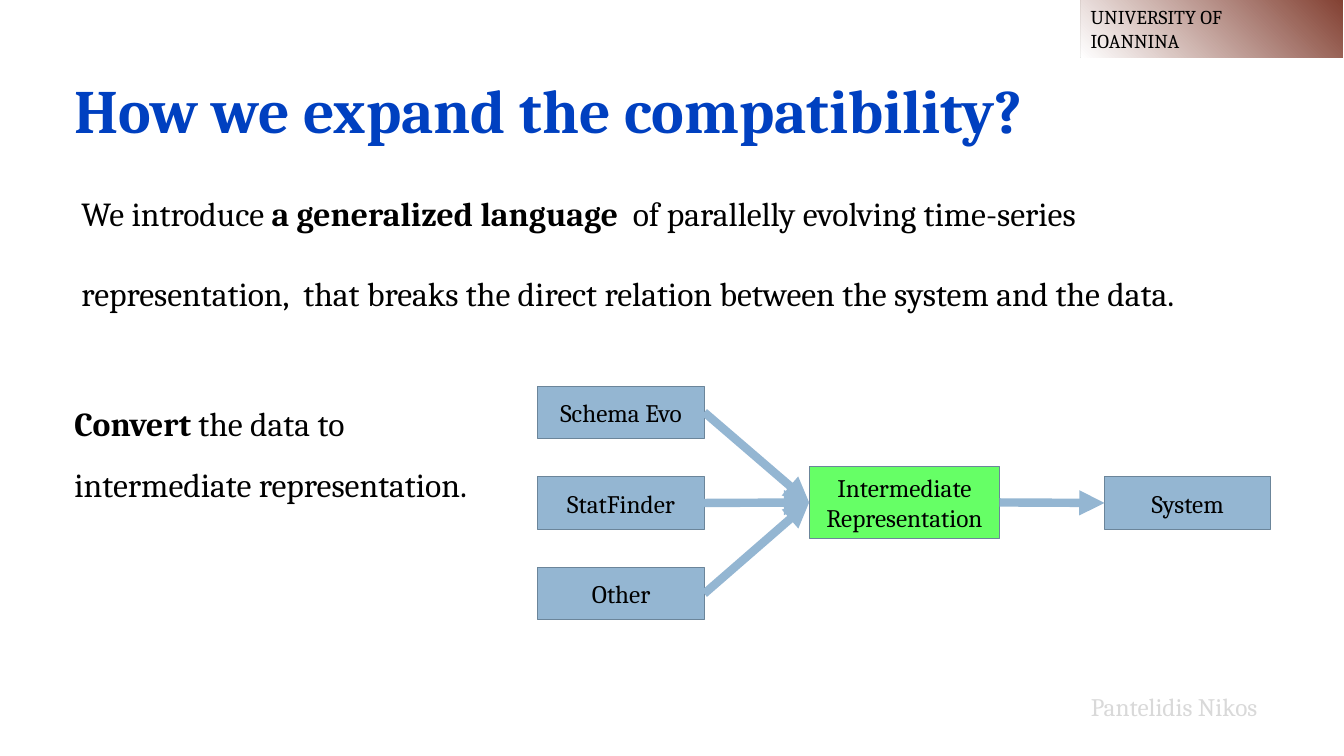
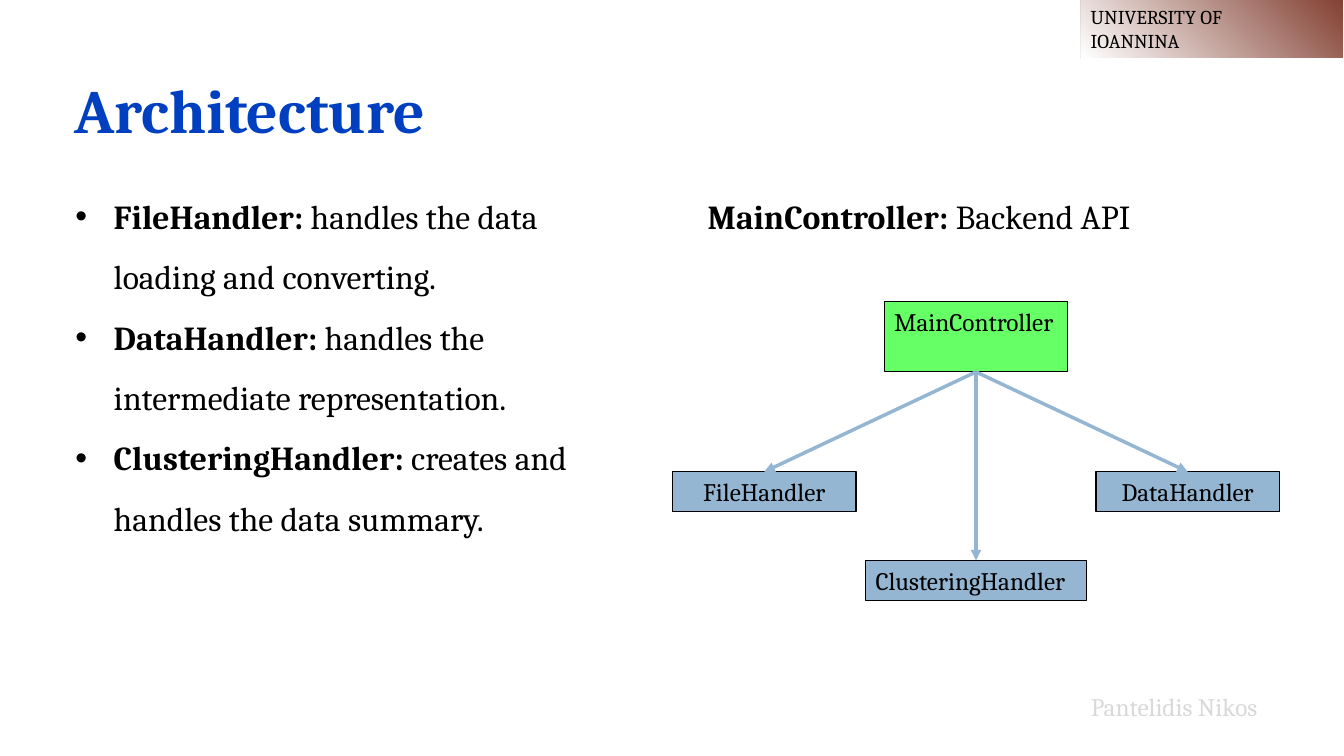
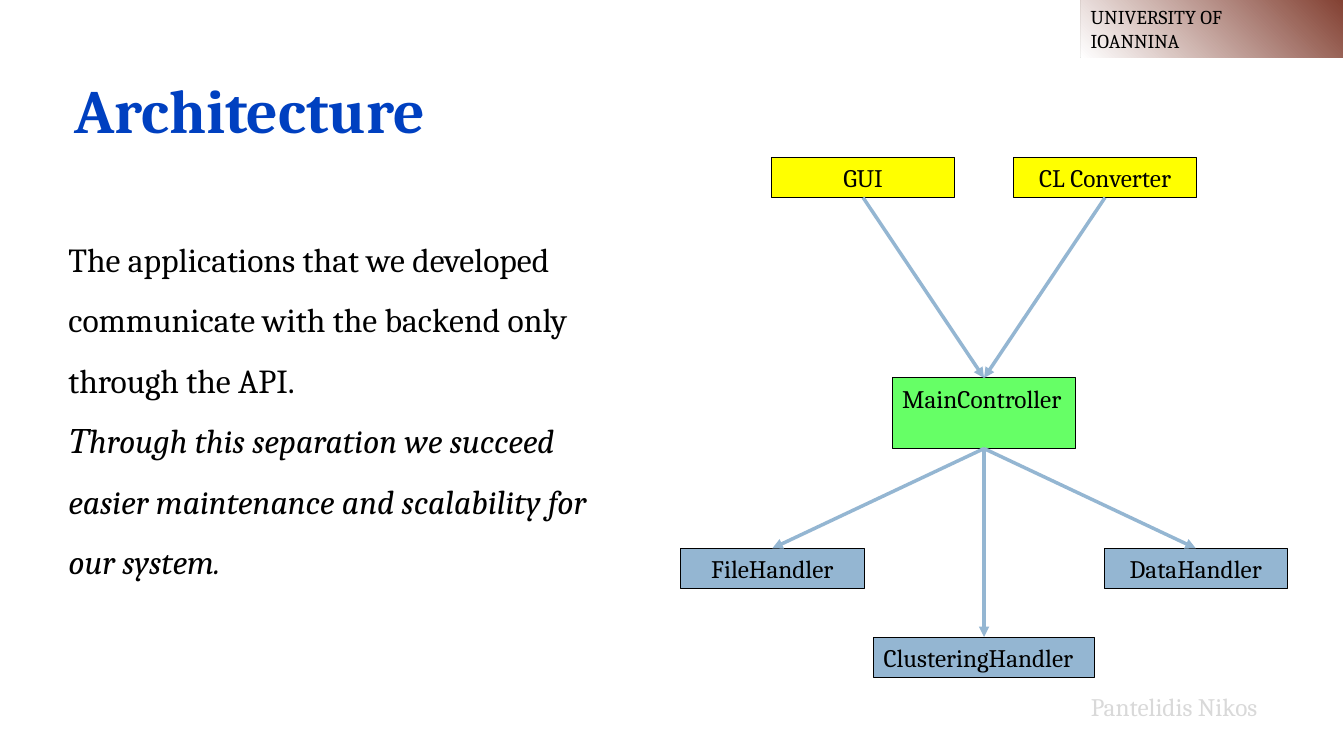
"""Build three slides on the architecture of a time-series system."""
import pptx
import pptx.dml.color
import pptx.enum.shapes
import pptx.enum.text
import pptx.oxml
import pptx.oxml.ns
import pptx.util
from pptx.util import Inches

FONT = "Cambria"
BLACK, BLUE, GREEN, YELLOW = "000000", "94B6D2", "66FF66", "FFFF00"
TITLE_COLOR, FOOTER_COLOR, SOFT_LINE = "0040C0", "D9D9D9", "6B859A"
BAND_START, BAND_END = "FFFFFF", "834133"
LEFT = pptx.enum.text.PP_ALIGN.LEFT
CENTER = pptx.enum.text.PP_ALIGN.CENTER
TOP = pptx.enum.text.MSO_ANCHOR.TOP
MIDDLE = pptx.enum.text.MSO_ANCHOR.MIDDLE
SIDE_TOP, SIDE_LEFT, SIDE_BOTTOM, SIDE_RIGHT = range(4)
NAMESPACE = pptx.oxml.ns.nsdecls("a")


def rgb(color):
    return pptx.dml.color.RGBColor.from_string(color)


def write(shape, paragraphs, size, color=BLACK, align=LEFT, anchor=TOP, spacing=None):
    """Fill a shape with paragraphs, each a list of (text, style) runs."""
    text_frame = shape.text_frame
    text_frame.word_wrap = True
    text_frame.vertical_anchor = anchor
    for index, runs in enumerate(paragraphs):
        paragraph = text_frame.add_paragraph() if index else text_frame.paragraphs[0]
        paragraph.alignment = align
        if spacing:
            paragraph.line_spacing = spacing
        for text, style in runs:
            run = paragraph.add_run()
            run.text = text
            run.font.name = FONT
            run.font.size = pptx.util.Pt(size)
            run.font.bold = style == "bold"
            run.font.italic = style == "italic"
            run.font.color.rgb = rgb(color)


def add_text(slide, left, top, width, height, paragraphs, size=24, **options):
    shape = slide.shapes.add_textbox(Inches(left), Inches(top), Inches(width), Inches(height))
    write(shape, paragraphs, size, **options)
    return shape


def add_bullets(shape):
    """Give every paragraph of a shape a hanging bullet."""
    for paragraph in shape.text_frame.paragraphs:
        properties = paragraph._p.get_or_add_pPr()
        properties.set("marL", str(Inches(0.38)))
        properties.set("indent", str(-Inches(0.38)))
        for element in (
            f'<a:buClr {NAMESPACE}><a:srgbClr val="{BLACK}"/></a:buClr>',
            f'<a:buFont {NAMESPACE} typeface="Arial"/>',
            f'<a:buChar {NAMESPACE} char="•"/>',
        ):
            properties.append(pptx.oxml.parse_xml(element))


def add_rectangle(slide, left, top, width, height):
    shape = slide.shapes.add_shape(
        pptx.enum.shapes.MSO_SHAPE.RECTANGLE,
        Inches(left), Inches(top), Inches(width), Inches(height))
    shape.shadow.inherit = False
    return shape


def add_box(slide, text, center, top, width, height, fill, line=BLACK, align=CENTER, anchor=TOP):
    """Add a labelled box placed by its horizontal center and its top."""
    box = add_rectangle(slide, center - width / 2, top, width, height)
    box.fill.solid()
    box.fill.fore_color.rgb = rgb(fill)
    box.line.color.rgb = rgb(line)
    box.line.width = pptx.util.Pt(0.75)
    write(box, [[(text, None)]], 18, align=align, anchor=anchor)
    return box


def add_arrow(slide, source, source_side, target, target_side, width):
    connector = slide.shapes.add_connector(pptx.enum.shapes.MSO_CONNECTOR.STRAIGHT, 0, 0, 0, 0)
    connector.begin_connect(source, source_side)
    connector.end_connect(target, target_side)
    connector.line.color.rgb = rgb(BLUE)
    connector.line.width = pptx.util.Pt(width)
    connector.line._get_or_add_ln().append(
        pptx.oxml.parse_xml(f'<a:tailEnd {NAMESPACE} type="triangle"/>'))
    connector._element.spPr.append(pptx.oxml.parse_xml(f"<a:effectLst {NAMESPACE}/>"))


def add_band(slide):
    """Add the corner band with its radial gradient."""
    band = add_rectangle(slide, 10.72, 0, 2.6, 0.57)
    band.line.fill.background()
    band._element.spPr.find(pptx.oxml.ns.qn("a:prstGeom")).addnext(pptx.oxml.parse_xml(
        f'<a:gradFill {NAMESPACE} rotWithShape="1"><a:gsLst>'
        f'<a:gs pos="0"><a:srgbClr val="{BAND_START}"/></a:gs>'
        f'<a:gs pos="100000"><a:srgbClr val="{BAND_END}"/></a:gs></a:gsLst>'
        '<a:path path="circle"><a:fillToRect t="100000" r="100000"/></a:path></a:gradFill>'))
    band.text_frame.margin_right = Inches(1.02)
    write(band, [[("UNIVERSITY OF IOANNINA", None)]], 14)


def add_slide(presentation, title):
    """Add a slide with the shared band, footer and title."""
    slide = presentation.slides.add_slide(presentation.slide_layouts[6])
    add_band(slide)
    add_text(slide, 10.72, 6.81, 2.11, 0.4, [[("Pantelidis Nikos", None)]], 18, color=FOOTER_COLOR)
    add_text(slide, 0.64, 0.75, 10.85, 0.82, [[(title, "bold")]], 44,
             color=TITLE_COLOR, spacing=0.9)
    return slide


def add_handler_tree(slide, center, top):
    """Add the controller with its three handlers and return the controller."""
    controller = add_box(slide, "MainController", center, top, 1.82, 0.7, GREEN, align=LEFT)
    for name, shift, drop, width, align in (
        ("FileHandler", -2.1, 1.69, 1.82, CENTER),
        ("DataHandler", 2.1, 1.69, 1.82, CENTER),
        ("ClusteringHandler", 0, 2.57, 2.19, LEFT),
    ):
        handler = add_box(slide, name, center + shift, top + drop, width, 0.4, BLUE, align=align)
        add_arrow(slide, controller, SIDE_BOTTOM, handler, SIDE_TOP, 2.5)
    return controller


def build_compatibility(presentation):
    slide = add_slide(presentation, "How we expand the compatibility?")
    add_text(slide, 0.71, 1.46, 11.92, 1.7, [[
        ("We introduce", None), (" a generalized language ", "bold"),
        (" of parallelly evolving time-series representation,  that breaks the direct "
         "relation between the system and the data.", None)]], spacing=2.0)
    add_text(slide, 0.64, 3.75, 4.54, 1.3, [[
        ("Convert", "bold"), (" the data to intermediate representation.", None)]], spacing=1.5)
    flow = {"line": SOFT_LINE, "anchor": MIDDLE}
    middle = add_box(slide, "Intermediate Representation", 8.97, 4.63, 1.89, 0.71, GREEN, **flow)
    for row, name in enumerate(("Schema Evo", "StatFinder", "Other")):
        source = add_box(slide, name, 6.16, 3.83 + 0.9 * row, 1.65, 0.52, BLUE, **flow)
        add_arrow(slide, source, SIDE_RIGHT, middle, SIDE_LEFT, 6)
    system = add_box(slide, "System", 11.78, 4.73, 1.65, 0.52, BLUE, **flow)
    add_arrow(slide, middle, SIDE_RIGHT, system, SIDE_LEFT, 6)


def build_backend(presentation):
    slide = add_slide(presentation, "Architecture")
    add_handler_tree(slide, 9.68, 2.99)
    handlers = add_text(slide, 0.65, 1.69, 5.53, 4.27, [
        [("FileHandler: ", "bold"), ("handles the data loading and converting.", None)],
        [("DataHandler:", "bold"), (" handles the intermediate representation.", None)],
        [("ClusteringHandler:", "bold"), (" creates and handles the data summary.", None)],
    ], spacing=1.5)
    add_bullets(handlers)
    add_text(slide, 6.92, 1.69, 5.22, 0.7, [[
        ("MainController:", "bold"), (" Backend API", None)]], spacing=1.5)


def build_applications(presentation):
    slide = add_slide(presentation, "Architecture")
    center = 9.76
    controller = add_handler_tree(slide, center, 3.75)
    for name, shift in (("GUI", -1.2), ("CL Converter", 1.2)):
        application = add_box(slide, name, center + shift, 1.56, 1.82, 0.4, YELLOW)
        add_arrow(slide, application, SIDE_BOTTOM, controller, SIDE_TOP, 2.5)
    add_text(slide, 0.58, 2.12, 5.82, 3.7, [
        [("The applications that we developed communicate with the backend only "
          "through the API.", None)],
        [("Τhrough this separation we succeed easier maintenance and scalability "
          "for our system.", "italic")],
    ], spacing=1.5)


def main():
    presentation = pptx.Presentation()
    presentation.slide_width = Inches(13.33)
    presentation.slide_height = Inches(7.5)
    build_compatibility(presentation)
    build_backend(presentation)
    build_applications(presentation)
    presentation.save("out.pptx")


if __name__ == "__main__":
    main()
